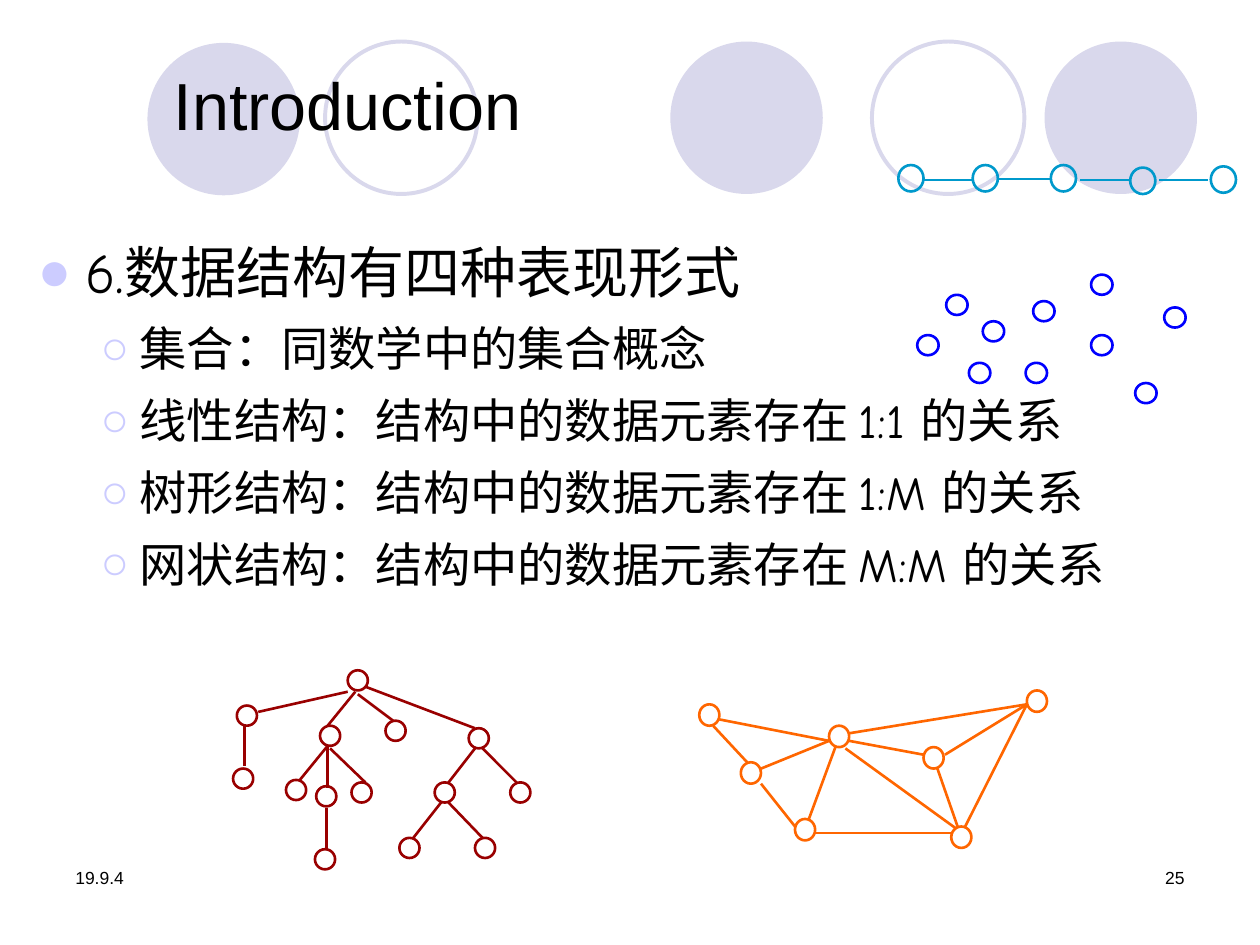
import pptx
import pptx.util
import pptx.dml.color
import pptx.enum.shapes
import pptx.enum.text
import pptx.oxml
from dataclasses import dataclass
from pptx.util import Inches, Pt

PP_ALIGN = pptx.enum.text.PP_ALIGN
ANCHOR = pptx.enum.text.MSO_ANCHOR
NS = 'xmlns:a="http://schemas.openxmlformats.org/drawingml/2006/main"'


@dataclass(frozen=True)
class Theme:
    text: str = "000000"
    halo: str = "D9D8EC"
    bullet: str = "CCCCFF"
    network: str = "FF6600"
    tree: str = "990000"
    chain: str = "0099CC"
    scatter: str = "0000FF"
    sans: str = "Arial"
    hand: str = "Comic Neue"
    title_size: float = 38
    head_size: float = 32
    item_size: float = 27
    footer_size: float = 10
    line: float = 1.5
    halo_line: float = 2.25


THEME = Theme()

HEADING = "6.数据结构有四种表现形式"
ITEMS = [
    "集合：同数学中的集合概念",
    "线性结构：结构中的数据元素存在 1:1 的关系",
    "树形结构：结构中的数据元素存在 1:M 的关系",
    "网状结构：结构中的数据元素存在 M:M 的关系",
]

# Nodes are (left, top); edges are (x1, y1, x2, y2).
NETWORK_NODES = [(5.55, 5.59), (5.88, 6.05), (6.58, 5.76), (6.31, 6.5),
                 (7.33, 5.93), (7.55, 6.56), (8.15, 5.48)]
NETWORK_EDGES = [
    (5.66, 5.76, 5.93, 6.05), (5.71, 5.71, 6.58, 5.88), (6.58, 5.88, 6.04, 6.1),
    (6.04, 6.22, 6.31, 6.56), (6.63, 5.93, 6.42, 6.5), (6.74, 5.82, 8.15, 5.59),
    (6.74, 5.88, 7.33, 5.99), (6.71, 5.94, 7.58, 6.57), (6.47, 6.61, 7.55, 6.61),
    (7.44, 6.1, 7.6, 6.56), (7.5, 5.99, 8.15, 5.59), (8.15, 5.59, 7.66, 6.56),
]
TREE_NODES = [(2.76, 5.32), (1.88, 5.6), (1.85, 6.1), (2.54, 5.76), (2.27, 6.19),
              (2.51, 6.24), (2.5, 6.74), (2.79, 6.21), (3.06, 5.72), (3.72, 5.78),
              (3.45, 6.21), (4.05, 6.21), (3.17, 6.65), (3.77, 6.65)]
TREE_EDGES = [
    (2.76, 5.49, 2.05, 5.65), (1.94, 5.76, 1.94, 6.08), (2.82, 5.49, 2.6, 5.76),
    (2.6, 5.92, 2.38, 6.19), (2.6, 5.92, 2.6, 6.25), (2.59, 6.41, 2.59, 6.74),
    (2.62, 5.94, 2.9, 6.21), (2.84, 5.51, 3.12, 5.72), (2.9, 5.45, 3.77, 5.78),
    (3.77, 5.94, 3.56, 6.21), (3.83, 5.94, 4.1, 6.21), (3.5, 6.37, 3.28, 6.65),
    (3.56, 6.37, 3.83, 6.65),
]
CHAIN_NODES = [(7.13, 1.31), (7.72, 1.31), (8.34, 1.31), (8.97, 1.33), (9.61, 1.32)]
CHAIN_EDGES = [(7.32, 1.43, 7.72, 1.43), (7.93, 1.42, 8.33, 1.42),
               (8.57, 1.43, 8.97, 1.43), (9.2, 1.43, 9.59, 1.43)]
SCATTER_NODES = [(7.51, 2.34), (7.28, 2.66), (7.8, 2.55), (7.69, 2.88), (8.2, 2.39),
                 (8.14, 2.88), (8.66, 2.18), (8.66, 2.66), (9.01, 3.04), (9.24, 2.44)]


def rgb(color):
    return pptx.dml.color.RGBColor.from_string(color)


def set_all(obj, values):
    for name, value in values.items():
        setattr(obj, name, value)


def add_circle(shapes, left, top, width, height, fill=None, line=None,
               weight=THEME.line):
    sp = shapes.add_shape(pptx.enum.shapes.MSO_SHAPE.OVAL, Inches(left),
                          Inches(top), Inches(width), Inches(height))
    sp.shadow.inherit = False
    if fill:
        sp.fill.solid()
        sp.fill.fore_color.rgb = rgb(fill)
    else:
        sp.fill.background()
    if line:
        sp.line.color.rgb = rgb(line)
        sp.line.width = Pt(weight)
    else:
        sp.line.fill.background()


def add_edge(shapes, x1, y1, x2, y2, color):
    line = shapes.add_connector(pptx.enum.shapes.MSO_CONNECTOR.STRAIGHT,
                                Inches(x1), Inches(y1), Inches(x2), Inches(y2))
    line.line.color.rgb = rgb(color)
    line.line.width = Pt(THEME.line)
    line._element.spPr.append(pptx.oxml.parse_xml(f"<a:effectLst {NS}/>"))


def add_graph(s, color, node_size, nodes, edges=()):
    """Group hollow nodes and the lines between them."""
    shapes = s.shapes.add_group_shape().shapes
    for node in nodes:
        add_circle(shapes, *node, *node_size, line=color)
    for edge in edges:
        add_edge(shapes, *edge, color)


def add_halos(s):
    shapes = s.shapes.add_group_shape().shapes
    size = (1.21, 1.21)
    for left, top in [(5.32, 0.33), (8.29, 0.33), (1.17, 0.34)]:
        add_circle(shapes, left, top, *size, fill=THEME.halo)
    for left in (6.92, 2.58):
        add_circle(shapes, left, 0.33, *size, line=THEME.halo,
                   weight=THEME.halo_line)


def add_text_box(s, left, top, width, height, anchor=ANCHOR.TOP):
    box = s.shapes.add_textbox(Inches(left), Inches(top), Inches(width), Inches(height))
    tf = box.text_frame
    set_all(tf, {"word_wrap": True, "vertical_anchor": anchor})
    return tf


def write(p, text, size, font, **paragraph_format):
    set_all(p, paragraph_format)
    r = p.add_run()
    r.text = text
    set_all(r.font, {"size": Pt(size), "name": font})
    r.font.color.rgb = rgb(THEME.text)


def add_bullet(p, char, left, hanging):
    pPr = p._p.get_or_add_pPr()
    pPr.set("marL", str(Inches(left)))
    pPr.set("indent", str(-Inches(hanging)))
    for xml in (f'<a:buClr {NS}><a:srgbClr val="{THEME.bullet}"/></a:buClr>',
                f'<a:buFont {NS} typeface="{THEME.sans}"/>',
                f'<a:buChar {NS} char="{char}"/>'):
        pPr.append(pptx.oxml.parse_xml(xml))


def add_body(s):
    tf = add_text_box(s, 0.2, 1.78, 9.41, 3.62)
    p = tf.paragraphs[0]
    write(p, HEADING, THEME.head_size, THEME.hand, line_spacing=1.1,
          space_before=Pt(THEME.head_size * 0.2))
    add_bullet(p, "●", 0.38, 0.38)
    for item in ITEMS:
        p = tf.add_paragraph()
        write(p, item, THEME.item_size, THEME.hand, level=1, line_spacing=1.1,
              space_before=Pt(THEME.item_size * 0.2))
        add_bullet(p, "○", 0.81, 0.31)


def main():
    prs = pptx.Presentation()
    set_all(prs, {"slide_width": Inches(10), "slide_height": Inches(7.5)})
    s = prs.slides.add_slide(prs.slide_layouts[6])

    add_halos(s)
    for left, text, align in [(0.5, "19.9.4", PP_ALIGN.LEFT),
                              (7.17, "25", PP_ALIGN.RIGHT)]:
        tf = add_text_box(s, left, 6.83, 2.33, 0.5)
        write(tf.paragraphs[0], text, THEME.footer_size, THEME.sans, alignment=align)
    tf = add_text_box(s, 1.28, 0.4, 8.16, 0.93, ANCHOR.MIDDLE)
    write(tf.paragraphs[0], "Introduction", THEME.title_size, THEME.sans,
          line_spacing=0.9)
    add_body(s)

    add_graph(s, THEME.network, (0.16, 0.17), NETWORK_NODES, NETWORK_EDGES)
    add_graph(s, THEME.tree, (0.16, 0.16), TREE_NODES, TREE_EDGES)
    add_graph(s, THEME.chain, (0.2, 0.21), CHAIN_NODES, CHAIN_EDGES)
    add_graph(s, THEME.scatter, (0.17, 0.16), SCATTER_NODES)

    prs.save("out.pptx")


if __name__ == "__main__":
    main()
